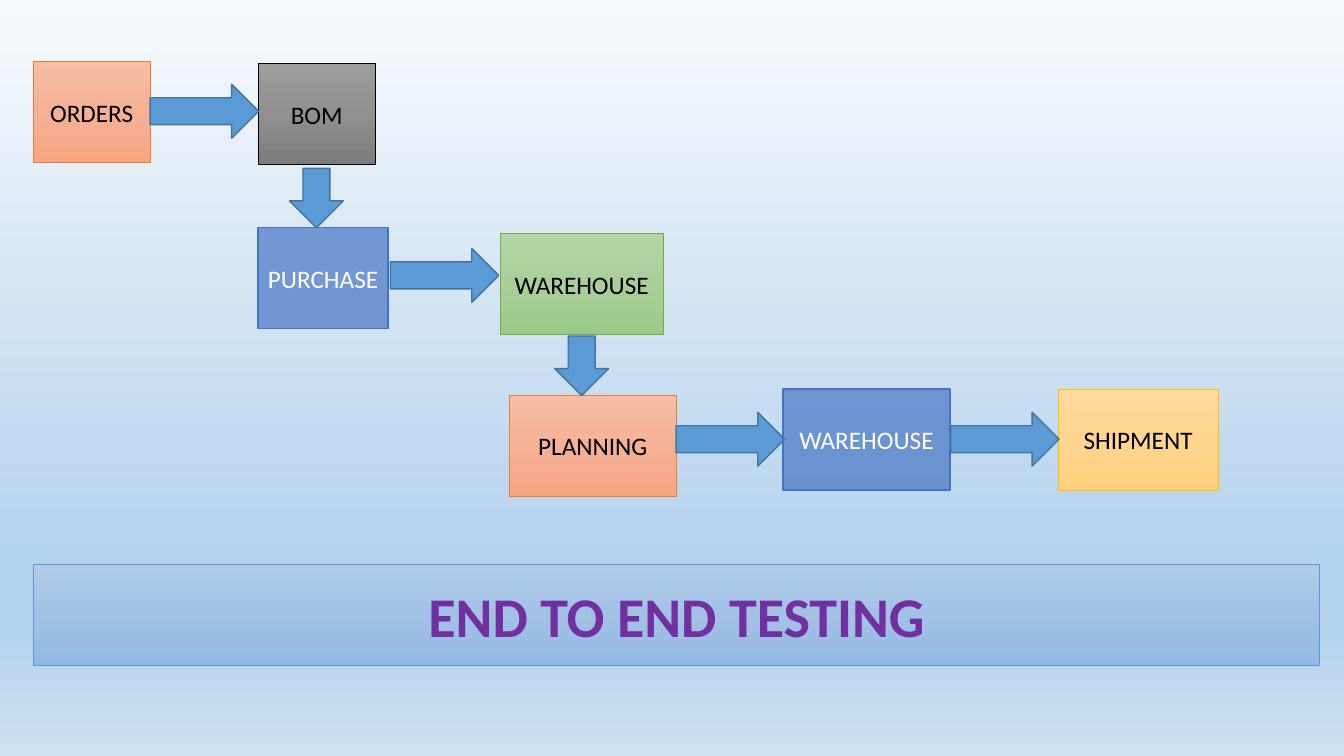
from lxml import etree
from pptx import Presentation
from pptx import util as u
from pptx.dml.color import RGBColor
from pptx.enum import shapes, text
from pptx.oxml.ns import qn

BLACK = RGBColor(0x00, 0x00, 0x00)
WHITE = RGBColor(0xFF, 0xFF, 0xFF)
PURPLE = RGBColor(0x70, 0x30, 0xA0)
BLUE = RGBColor(0x44, 0x72, 0xC4)
SKY = RGBColor(0x5B, 0x9B, 0xD5)
STEEL = RGBColor(0x43, 0x73, 0x9E)
ORANGE = RGBColor(0xED, 0x7D, 0x31)
GREEN = RGBColor(0x70, 0xAD, 0x47)
GOLD = RGBColor(0xFF, 0xC0, 0x00)


def blend(*tones):
    """Pair each tone with its position: start, middle, end."""
    return [(pos, RGBColor.from_string(tone))
            for pos, tone in zip((0, 50, 100), tones)]


PEACH = blend("F7BDA5", "F5B196", "F8A582")
GRAY = blend("9D9D9D", "909090", "7C7C7C")
LEAF = blend("B5D5A7", "AACE9A", "9CC987")
SAND = blend("FFDB9E", "FFD590", "FFD07C")
ICE = blend("B1CBE9", "A3C1E5", "93B9E4")
PALE = RGBColor(0xF7, 0xFA, 0xFD)
MIST = RGBColor(0xB5, 0xD2, 0xEC)
HAZE = RGBColor(0xCE, 0xE1, 0xF2)
BACK = [(0, PALE), (74, MIST), (83, MIST), (100, HAZE)]


class Board:
    font = "Calibri"
    high = 72
    alpha = 68

    def __init__(self, slide):
        self.slide = slide

    def shade(self, fill, owner, stops):
        """Fill with a top-to-bottom gradient of any number of stops."""
        fill.gradient()
        fill.gradient_angle = 270
        group = next(owner.iter(qn("a:gsLst")))
        for old in list(group):
            group.remove(old)
        for pos, tone in stops:
            stop = etree.SubElement(group, qn("a:gs"), pos=str(pos * 1000))
            etree.SubElement(stop, qn("a:srgbClr"), val=str(tone))

    def back(self, stops):
        self.shade(self.slide.background.fill, self.slide.element, stops)

    def form(self, kind, left, top, wide, high, edge, width):
        item = self.slide.shapes.add_shape(
            kind, u.Pt(left), u.Pt(top), u.Pt(wide), u.Pt(high))
        item.shadow.inherit = False
        item.line.color.rgb = edge
        item.line.width = u.Pt(width)
        return item

    def label(self, item, words, color, size, bold):
        frame = item.text_frame
        frame.text = words
        frame.word_wrap = False
        frame.vertical_anchor = text.MSO_ANCHOR.MIDDLE
        line = frame.paragraphs[0]
        line.alignment = text.PP_ALIGN.CENTER
        font = line.runs[0].font
        font.name, font.size, font.bold = self.font, u.Pt(size), bold
        font.color.rgb = color

    def box(self, words, left, top, wide, stops, edge,
            color=BLACK, size=18, bold=False):
        item = self.form(shapes.MSO_SHAPE.RECTANGLE, left, top, wide,
                         self.high, edge, 0.5)
        self.shade(item.fill, item.element, stops)
        self.label(item, words, color, size, bold)

    def glass(self, words, left, top, wide):
        """Draw a box with a see-through blue fill."""
        item = self.form(shapes.MSO_SHAPE.RECTANGLE, left, top, wide,
                         self.high, BLUE, 1)
        item.fill.solid()
        item.fill.fore_color.rgb = BLUE
        tone = next(item.element.spPr.iter(qn("a:srgbClr")))
        etree.SubElement(tone, qn("a:alpha"), val=str(self.alpha * 1000))
        self.label(item, words, WHITE, 18, False)

    def arrow(self, left, top, wide=77.5, turn=0):
        item = self.form(shapes.MSO_SHAPE.RIGHT_ARROW, left, top, wide, 38.5,
                         STEEL, 1)
        item.rotation = turn
        item.fill.solid()
        item.fill.fore_color.rgb = SKY

    def drop(self, left, top):
        self.arrow(left, top, 42.5, 90)


def main():
    deck = Presentation()
    deck.slide_width, deck.slide_height = u.Pt(960), u.Pt(540)
    board = Board(deck.slides.add_slide(deck.slide_layouts[6]))
    board.back(BACK)

    board.box("ORDERS", 23.75, 44, 83.5, PEACH, ORANGE)
    board.box("BOM", 184.5, 45.5, 83.5, GRAY, BLACK)
    board.glass("PURCHASE", 184.25, 162.75, 93)
    board.box("WAREHOUSE", 357.25, 167, 116.5, LEAF, GREEN)
    board.box("PLANNING", 363.75, 282.25, 119.5, PEACH, ORANGE)
    board.box("SHIPMENT", 756, 278, 114, SAND, GOLD)
    board.box("END TO END TESTING", 23.75, 403.25, 919, ICE, SKY,
              PURPLE, 40, True)

    board.arrow(107.25, 60.25)
    board.drop(204.75, 122.25)
    board.arrow(278.75, 177.5)
    board.drop(394.25, 242)
    board.arrow(483, 294.5)
    board.glass("WAREHOUSE", 559.25, 278, 119.5)
    board.arrow(679, 294.5)

    deck.save("out.pptx")


if __name__ == "__main__":
    main()
